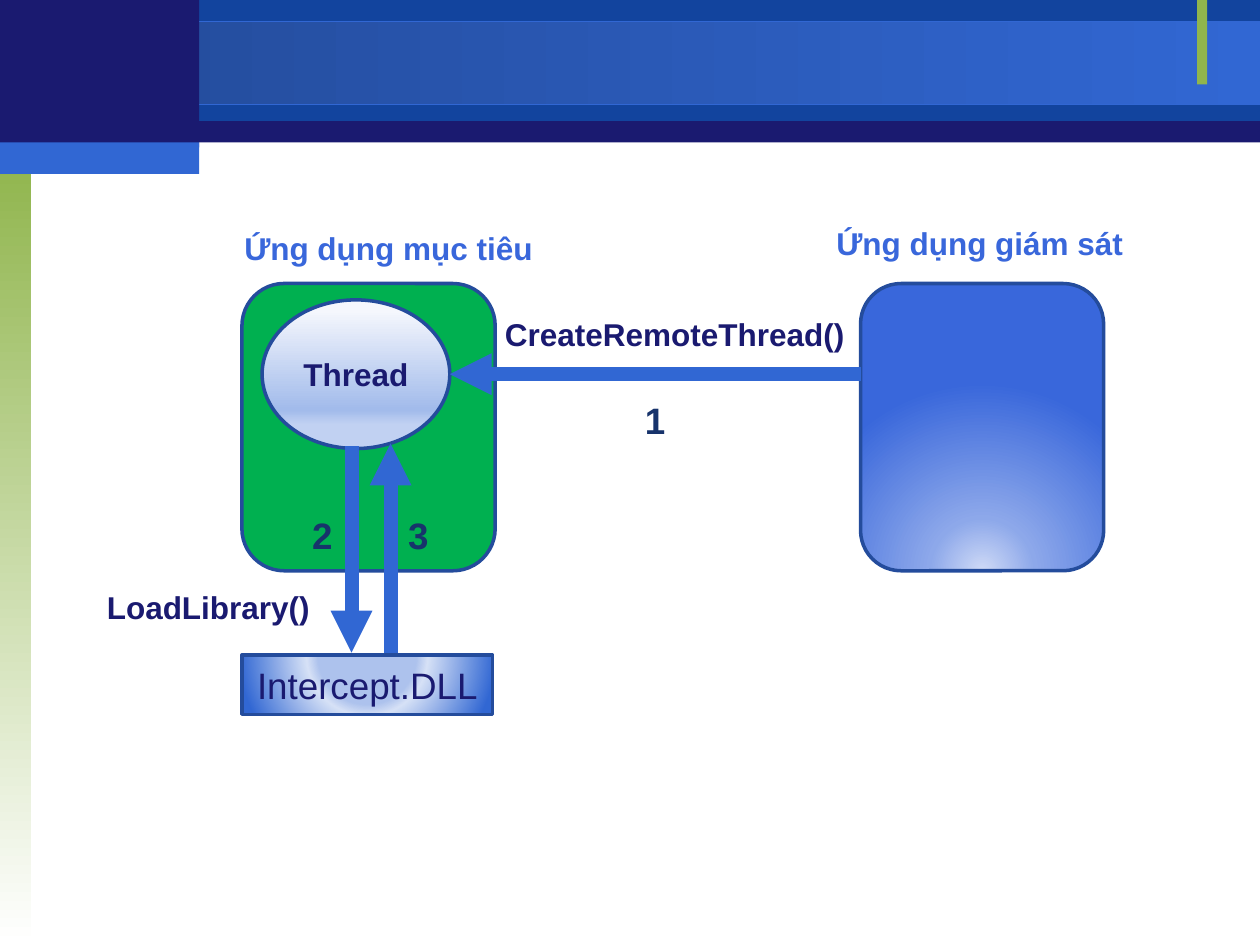
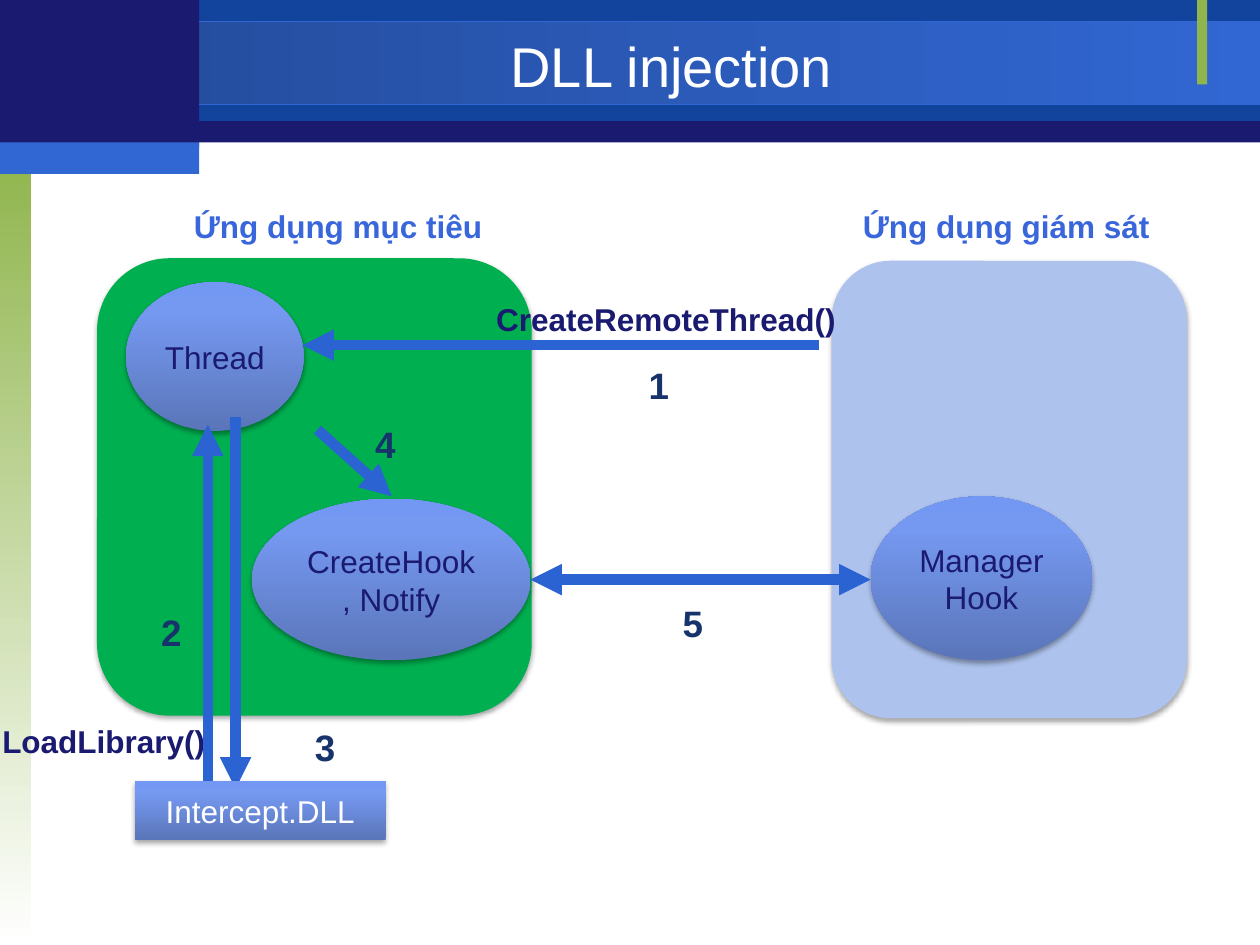
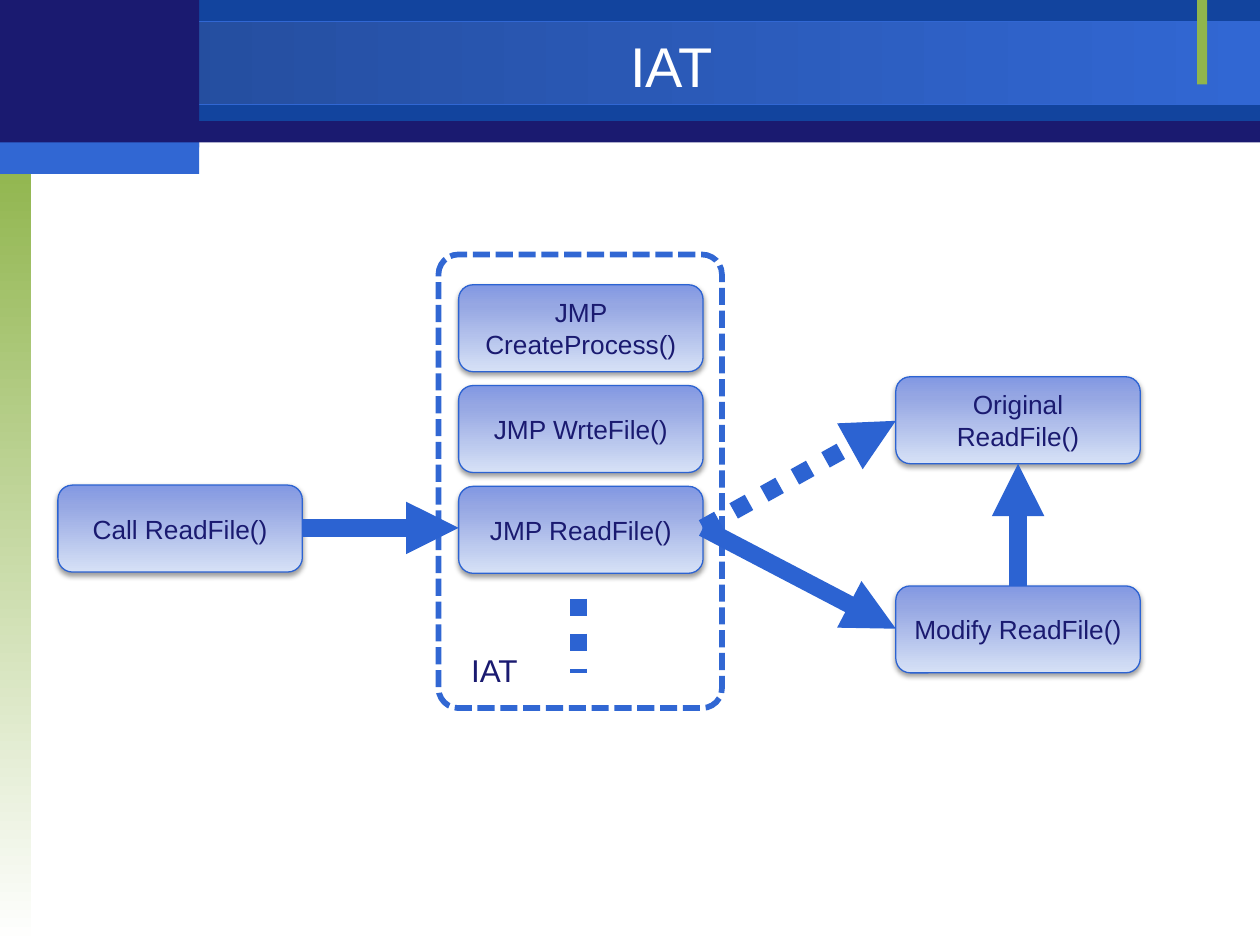
import pptx
import pptx.dml.color
import pptx.enum.dml
import pptx.enum.shapes
import pptx.enum.text
import pptx.oxml
import pptx.oxml.ns
import pptx.util

Inches = pptx.util.Inches
Pt = pptx.util.Pt
qn = pptx.oxml.ns.qn
SHAPE = pptx.enum.shapes.MSO_SHAPE
DASH = pptx.enum.dml.MSO_LINE
ALIGN = pptx.enum.text.PP_ALIGN
ANCHOR = pptx.enum.text.MSO_ANCHOR

# Shared colours
FONT = "Arial"
NAVY, DEEP, BLUE, GREEN = "1A1A70", "12449E", "3167D3", "90B54D"
ARROW, EDGE, HEADING, NUMBER = "2C63D2", "244C9C", "3967DB", "17336B"
TARGET, PALE, WHITE = "00B050", "ADC2ED", "FFFFFF"


def rgb(colour):
    return pptx.dml.color.RGBColor.from_string(colour)


def element(xml):
    return pptx.oxml.parse_xml(f'<a:root {pptx.oxml.ns.nsdecls("a")}>{xml}</a:root>')[0]


class Gradient:
    """Stops of (percent, colour), running at an angle or round a focus rectangle."""

    def __init__(self, *stops, angle=0, focus=None):
        self.stops, self.angle, self.focus = stops, angle, focus

    def xml(self):
        stops = "".join(f'<a:gs pos="{pos * 1000}"><a:srgbClr val="{colour}"/></a:gs>'
                        for pos, colour in self.stops)
        if self.focus:
            sides = " ".join(f'{side}="{value * 1000}"' for side, value in zip("ltrb", self.focus))
            way = f'<a:path path="circle"><a:fillToRect {sides}/></a:path>'
        else:
            way = f'<a:lin ang="{self.angle * 60000}" scaled="0"/>'
        return f'<a:gradFill rotWithShape="1"><a:gsLst>{stops}</a:gsLst>{way}</a:gradFill>'


# Shared gradients
BAND = Gradient((0, "234A97"), (100, BLUE))
FADE = Gradient((0, GREEN), (100, WHITE), angle=90)
GLOSS = Gradient((0, "5A75B9"), (80, "7598F0"), (100, "7398F4"), angle=270)
STEP = Gradient((0, "D6E1F6"), (76, "96A7E3"), (100, "8298E3"), angle=270)
THREAD = Gradient((7, "F5F7FD"), (74, "A2BBEB"), (84, "C1D1F2"), angle=90)
MONITOR = Gradient((0, "CFDAF6"), (28, "8DA8EA"), (100, HEADING), focus=(50, 130, 50, -30))
LIBRARY = Gradient((38, PALE), (47, "D6E1F6"), (100, BLUE), focus=(50, -80, 50, 180))


class Deck:
    def __init__(self):
        self.prs = pptx.Presentation()
        self.prs.slide_width, self.prs.slide_height = Inches(10), Inches(7.5)
        self.s = None

    def slide(self, title=None):
        self.s = self.prs.slides.add_slide(self.prs.slide_layouts[6])
        # Header bands, side strip and corner block
        self.shape((0, 0.01, 10, 1.12), NAVY)
        self.shape((1.58, 0, 8.42, 0.96), DEEP)
        self.shape((0, 0.17, 10, 0.66), BAND, line=(BLUE, 0.75))
        self.shape((0, 1.25, 0.25, 6.25), FADE)
        self.shape((9.5, 0, 0.08, 0.67), GREEN)
        self.shape((0, 0, 1.58, 1.17), NAVY)
        self.shape((0, 1.13, 1.58, 0.25), BLUE)
        if title:
            box = self.s.shapes.add_textbox(*map(Inches, (1.58, 0.23, 7.5, 0.58)))
            self.put_text(box.text_frame, title, 32, WHITE, centred=True)

    def put_text(self, tf, text, size, colour, bold=False, centred=False, wrap=True):
        tf.word_wrap = wrap
        tf.vertical_anchor = ANCHOR.MIDDLE if centred else ANCHOR.TOP
        p = tf.paragraphs[0]
        p.text = text
        p.alignment = ALIGN.CENTER if centred else ALIGN.LEFT
        p.font.name, p.font.size, p.font.bold = FONT, Pt(size), bold
        p.font.color.rgb = rgb(colour)

    def shape(self, at, fill, kind=SHAPE.RECTANGLE, line=None, dash=None, shadow=None,
              text=None, size=18, colour=NAVY, bold=False):
        sp = self.s.shapes.add_shape(kind, *map(Inches, at))
        sp.shadow.inherit = False
        spPr = sp._element.spPr
        if fill is None:
            sp.fill.background()
        else:
            sp.fill.solid()
            if isinstance(fill, Gradient):
                spPr.replace(spPr.find(qn("a:solidFill")), element(fill.xml()))
            else:
                sp.fill.fore_color.rgb = rgb(fill)
        if line:
            sp.line.color.rgb, sp.line.width = rgb(line[0]), Pt(line[1])
            if dash:
                sp.line.dash_style = dash
        else:
            sp.line.fill.background()
        if shadow:
            spPr.find(qn("a:effectLst")).append(element(
                f'<a:outerShdw blurRad="{Pt(3.1)}" dist="{Pt(1.7)}" dir="5400000" rotWithShape="0">'
                f'<a:srgbClr val="000000"><a:alpha val="{shadow * 1000}"/></a:srgbClr></a:outerShdw>'))
        if text:
            self.put_text(sp.text_frame, text, size, colour, bold, centred=True)
        return sp

    def label(self, at, text, size=18, colour=NAVY, bold=True, wrap=False):
        box = self.s.shapes.add_textbox(*map(Inches, at))
        self.put_text(box.text_frame, text, size, colour, bold, wrap=wrap)

    def number(self, x, y, text):
        self.label((x, y, 0.36, 0.45), text, 21, NUMBER)

    def headings(self, target, monitor):
        self.label((*target, 2.51, 0.4), "Ứng dụng mục tiêu", colour=HEADING)
        self.label((*monitor, 2.5, 0.4), "Ứng dụng giám sát", colour=HEADING)

    def line(self, start, end, width, colour=ARROW, ends=("tailEnd",), dash=None):
        cx = self.s.shapes.add_connector(pptx.enum.shapes.MSO_CONNECTOR.STRAIGHT,
                                         *map(Inches, (*start, *end)))
        cx.line.color.rgb, cx.line.width = rgb(colour), Pt(width)
        if dash:
            cx.line.dash_style = dash
        spPr = cx._element.spPr
        for end_name in ends:
            spPr.find(qn("a:ln")).append(element(f'<a:{end_name} type="triangle"/>'))
        spPr.append(element("<a:effectLst/>"))


def thread_slide(d):
    d.slide()
    edge = (EDGE, 2)
    # Applications
    d.shape((1.92, 2.25, 2.01, 2.28), TARGET, SHAPE.ROUNDED_RECTANGLE, edge)
    d.shape((6.83, 2.25, 1.93, 2.28), MONITOR, SHAPE.ROUNDED_RECTANGLE, edge)
    d.shape((2.08, 2.38, 1.49, 1.18), THREAD, SHAPE.OVAL, edge, text="Thread", bold=True)
    d.shape((1.92, 5.2, 1.99, 0.47), LIBRARY, line=edge, text="Intercept.DLL", size=21)
    d.headings((1.84, 1.77), (6.54, 1.73))
    # Calls
    d.line((6.83, 2.97), (3.57, 2.97), 8, BLUE)
    d.label((3.91, 2.45, 3.26, 0.4), "CreateRemoteThread()", wrap=True)
    d.label((0.75, 4.62, 1.83, 0.4), "LoadLibrary()")
    for x, y, text in ((5.02, 3.11, "1"), (2.38, 4.02, "2"), (3.14, 4.02, "3")):
        d.number(x, y, text)
    d.line((2.79, 3.54), (2.79, 5.18), 8, BLUE)
    d.line((3.1, 5.18), (3.1, 3.52), 8, BLUE)


def injection_slide(d):
    d.slide("DLL injection")
    # Applications
    d.shape((0.77, 2.05, 3.45, 3.63), TARGET, SHAPE.ROUNDED_RECTANGLE, shadow=35)
    d.shape((6.6, 2.07, 2.82, 3.63), PALE, SHAPE.ROUNDED_RECTANGLE, shadow=35)
    d.headings((1.44, 1.59), (6.75, 1.59))
    for at, text in (((1, 2.24, 1.41, 1.18), "Thread"),
                     ((2, 3.96, 2.21, 1.28), "CreateHook, Notify"),
                     ((6.91, 3.94, 1.76, 1.3), "Manager Hook")):
        d.shape(at, GLOSS, SHAPE.OVAL, shadow=35, text=text)
    # Calls
    d.line((6.5, 2.74), (2.4, 2.74), 6)
    d.label((3.84, 2.33, 3.07, 0.4), "CreateRemoteThread()", wrap=True)
    d.line((1.87, 3.31), (1.87, 6.26), 6)
    d.label((-0.08, 5.68, 1.83, 0.4), "LoadLibrary()")
    d.shape((1.07, 6.2, 1.99, 0.47), GLOSS, shadow=35, text="Intercept.DLL", colour=WHITE)
    d.line((1.65, 6.2), (1.65, 3.37), 6)
    d.line((2.52, 3.41), (3.11, 3.94), 6)
    d.line((6.91, 4.6), (4.21, 4.6), 6, ends=("headEnd", "tailEnd"))
    for x, y, text in ((5.05, 2.83, "1"), (1.18, 4.79, "2"), (2.4, 5.7, "3"),
                       (2.88, 3.3, "4"), (5.32, 4.72, "5")):
        d.number(x, y, text)


def iat_slide(d):
    d.slide("IAT")
    # Steps, with the table entries in one column
    left, top, pitch = 3.64, 2.26, 0.8
    entries = ("JMP CreateProcess()", "JMP WrteFile()", "JMP ReadFile()")
    steps = [(left, top + i * pitch, text) for i, text in enumerate(entries)]
    steps += [(0.46, 3.85, "Call ReadFile()"), (7.11, 2.99, "Original ReadFile()"),
              (7.11, 4.65, "Modify ReadFile()")]
    for x, y, text in steps:
        d.shape((x, y, 1.94, 0.69), STEP, SHAPE.ROUNDED_RECTANGLE, (ARROW, 0.75),
                shadow=38, text=text, size=15)
    frame = d.shape((3.48, 2.02, 2.25, 3.6), None, SHAPE.ROUNDED_RECTANGLE, (BLUE, 3.25),
                    DASH.SQUARE_DOT)
    frame.adjustments[0] = 0.07
    d.label((left, 5.12, 0.58, 0.4), "IAT", bold=False)
    # Flow
    d.line((5.58, 4.19), (7.11, 3.34), 10, dash=DASH.ROUND_DOT)
    d.line((5.58, 4.19), (7.11, 4.99), 10)
    d.line((8.08, 4.65), (8.08, 3.68), 10)
    d.line((2.4, 4.19), (left, 4.19), 10)
    d.line((4.59, 4.75), (4.59, 5.34), 10, ends=(), dash=DASH.ROUND_DOT)


def main():
    d = Deck()
    thread_slide(d)
    injection_slide(d)
    iat_slide(d)
    d.prs.save("out.pptx")


if __name__ == "__main__":
    main()
